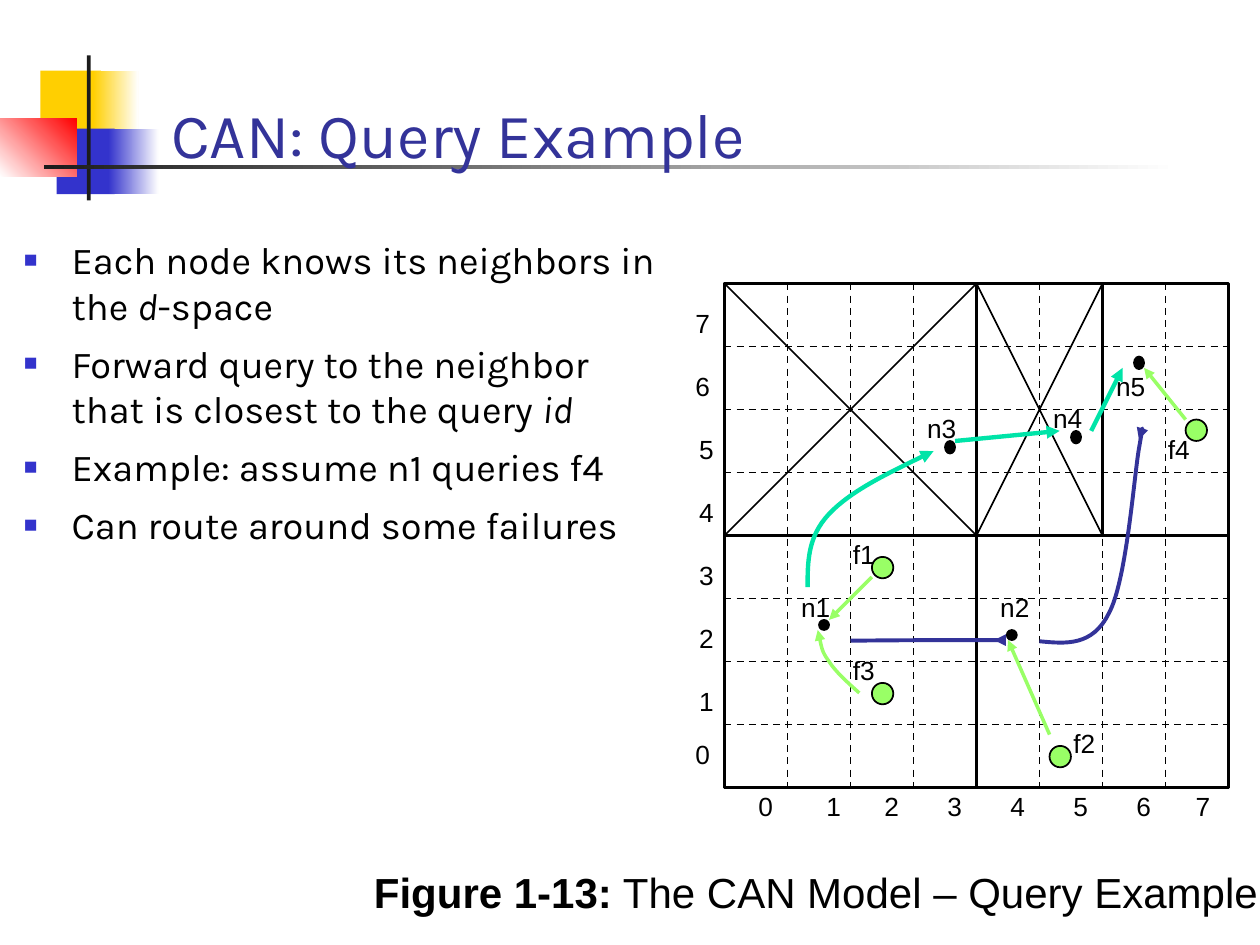
from lxml import etree
from pptx import Presentation, util as u
from pptx.dml.color import RGBColor
from pptx.enum import dml, shapes, text
from pptx.oxml.ns import qn

BLACK = RGBColor(0, 0, 0)
INK = RGBColor(0x1C, 0x1C, 0x1C)
WHITE = RGBColor(255, 255, 255)
GOLD = RGBColor(0xFF, 0xCF, 0x01)
BLUE = RGBColor(0x33, 0x33, 0xCC)
RED = RGBColor(255, 0, 0)
NAVY = RGBColor(0x33, 0x33, 0x99)
LIME = RGBColor(0x99, 0xFF, 0x66)
TEAL = RGBColor(0x00, 0xE4, 0xA8)
RECT, OVAL = shapes.MSO_SHAPE.RECTANGLE, shapes.MSO_SHAPE.OVAL


def sub(node, tag, **vals):
    return etree.SubElement(node, qn(tag), **vals)


def put(item, vals):
    for key, val in vals.items():
        setattr(item, key, val)


def spot(box, col, row, cols, rows):
    left, top, wide, high = box
    return round(left + wide * col / cols), round(top + high * row / rows)


def area(box, part, cols, rows):
    col, row, wide, high = part
    return (*spot(box, col, row, cols, rows),
            round(box[2] * wide / cols), round(box[3] * high / rows))


def ink(line, color, width, arrow=False):
    put(line, {"width": u.Pt(width)})
    line.color.rgb = color
    if arrow:
        sub(line._get_or_add_ln(), "a:tailEnd", type="triangle")


def form(page, kind, box, fill=None, edge=None):
    item = page.shapes.add_shape(kind, *box)
    item.shadow.inherit = False
    if fill is None:
        item.fill.background()
    else:
        item.fill.solid()
        item.fill.fore_color.rgb = fill
    if edge:
        ink(item.line, BLACK, edge)
    else:
        item.line.fill.background()
    return item


def fade(item, first, last, angle):
    item.fill.gradient()
    put(item.fill, {"gradient_angle": angle})
    for stop, color, pos in zip(item.fill.gradient_stops, (first, last), (0, 1)):
        stop.color.rgb = color
        stop.position = pos


def join(page, start, end, color, width, arrow=False):
    item = page.shapes.add_connector(shapes.MSO_CONNECTOR.STRAIGHT, *start, *end)
    ink(item.line, color, width, arrow)
    sub(item._element.spPr, "a:effectLst")
    return item


def curve(page, knots, color, width):
    pen = page.shapes.build_freeform(*knots[0])
    pen.add_line_segments(knots[1:], close=False)
    item = pen.convert_to_shape()
    legs = list(item._element.iter(qn("a:lnTo")))
    for i in range(0, len(legs), 3):
        bend = sub(legs[i].getparent(), "a:cubicBezTo")
        for leg in legs[i:i + 3]:
            bend.append(leg[0])
            leg.getparent().remove(leg)
    item.shadow.inherit = False
    item.fill.background()
    ink(item.line, color, width, True)


def say(par, words, size, face, color=BLACK, **look):
    run = par.add_run()
    run.text = words
    put(run.font, {"size": u.Pt(size), "name": face, **look})
    run.font.color.rgb = color


def tag(page, box, words):
    frame = page.shapes.add_textbox(*box).text_frame
    put(frame, {"word_wrap": False, "auto_size": text.MSO_AUTO_SIZE.SHAPE_TO_FIT_TEXT})
    say(frame.paragraphs[0], words, 15, "Arial")


def crest(page, box):
    parts = (
        ((.32, .56, .48, .52), GOLD, None, 0),
        ((.74, .56, .36, .52), GOLD, WHITE, 0),
        ((.45, 1.02, .46, .52), BLUE, None, 0),
        ((.86, 1.02, .4, .52), BLUE, WHITE, 0),
        ((0, .94, .61, .46), WHITE, RED, 45),
        ((.69, .44, .03, 1.15), INK, None, 0),
        ((.35, 1.31, 9, .03), INK, WHITE, 0),
    )
    for part, first, last, angle in parts:
        item = form(page, RECT, area(box, part, 10, 7.5), first)
        if last is not None:
            fade(item, first, last, angle)


def head(page, box):
    title = page.shapes.title
    put(title, dict(zip(("left", "top", "width", "height"), box)))
    put(title.text_frame, {"vertical_anchor": text.MSO_ANCHOR.BOTTOM,
                           "auto_size": text.MSO_AUTO_SIZE.NONE, "word_wrap": True})
    par = title.text_frame.paragraphs[0]
    par.alignment = text.PP_ALIGN.LEFT
    say(par, "CAN: Query Example", 36, "Karla", NAVY)
    title.element.getparent().append(title.element)


def notes(page, box):
    items = (
        (("Each node knows its neighbors in the ", False), ("d", True), ("-space", False)),
        (("Forward query to the neighbor that is closest to the query ", False), ("id", True)),
        (("Example: assume n1 queries f4", False),),
        (("Can route around some failures", False),),
    )
    frame = page.shapes.add_textbox(*box).text_frame
    frame.word_wrap = True
    inset = str(u.Inches(.38))
    for i, runs in enumerate(items):
        par = frame.add_paragraph() if i else frame.paragraphs[0]
        props = par._p.get_or_add_pPr()
        props.set("marL", inset)
        props.set("indent", "-" + inset)
        sub(sub(props, "a:buClr"), "a:srgbClr", val=str(BLUE))
        sub(props, "a:buSzPct", val="60000")
        sub(props, "a:buFont", typeface="Arial")
        sub(props, "a:buChar", char="■")
        if i:
            par.space_before = u.Pt(7)
        for words, slant in runs:
            say(par, words, 21.7, "Karla", italic=slant)


def grid(page, box):
    def at(col, row):
        return spot(box, col, row, 8, 8)

    def cell(*part):
        return area(box, part, 8, 8)

    frame = form(page, RECT, box, None, 2)
    for n in range(1, 8):
        for ends, sides in ((((n, 0), (n, 8)), (0, 2)), (((0, n), (8, n)), (1, 3))):
            rule = join(page, at(*ends[0]), at(*ends[1]), BLACK, 1)
            rule.line.dash_style = dml.MSO_LINE.DASH
            if n == 4:
                rule.begin_connect(frame, sides[0])
                rule.end_connect(frame, sides[1])

    for zone in ((0, 4, 4, 4), (4, 4, 4, 4), (0, 0, 4, 4), (4, 0, 2, 4)):
        form(page, RECT, cell(*zone), None, 2)
    for left, right in ((0, 4), (4, 6)):
        join(page, at(left, 0), at(right, 4), BLACK, 1)
        join(page, at(left, 4), at(right, 0), BLACK, 1)

    for n in range(8):
        col = {1: 1.42, 7: 7.28}.get(n, n + .34)
        row = 7.12 if n == 0 else 7.28 - n
        side = -.66 if n in (0, 6, 7) else -.6
        tag(page, cell(col, 7.94, .62, .7), str(n))
        tag(page, cell(side, row, .62, .7), str(n))

    nodes = (
        ("n1", (1.5, 5.34, .16, .16), (1.02, 4.78)),
        ("n2", (4.48, 5.5, .16, .16), (4.18, 4.78)),
        ("n3", (3.5, 2.5, .16, .2), (3.02, 1.94)),
        ("n4", (5.5, 2.34, .16, .2), (5.02, 1.78)),
        ("n5", (6.5, 1.16, .16, .2), (6.02, 1.28)),
    )
    files = (
        ("f1", (2.34, 4.34, .34, .34), (1.84, 3.94)),
        ("f2", (5.16, 7.34, .34, .34), (5.34, 6.94)),
        ("f3", (2.34, 6.34, .34, .34), (1.84, 5.78)),
        ("f4", (7.32, 2.16, .34, .34), (6.84, 2.28)),
    )
    for group, fill, wide in ((nodes, BLACK, .88), (files, LIME, .78)):
        for name, dot, place in group:
            form(page, OVAL, cell(*dot), fill, 1)
            tag(page, cell(*place, wide, .7), name)

    hops = (
        ((5.16, 7.16), (4.5, 5.66), LIME, 2),
        ((7.32, 2.16), (6.66, 1.34), LIME, 2),
        ((3.66, 2.5), (5.32, 2.34), TEAL, 2.5),
        ((5.82, 2.34), (6.32, 1.34), TEAL, 2.5),
    )
    for start, end, color, width in hops:
        join(page, at(*start), at(*end), color, width, True)
    bends = (
        (((2.14, 6.5), (1.96, 6.34), (1.76, 6.16), (1.66, 6),
          (1.54, 5.84), (1.52, 5.66), (1.48, 5.5)), LIME, 2),
        (((2.34, 4.66), (2.34, 4.66), (2, 5), (1.66, 5.34)), LIME, 2),
        (((1.32, 4.82), (1.32, 4.42), (1.32, 4.02), (1.66, 3.66),
          (2, 3.3), (2.66, 2.98), (3.32, 2.66)), TEAL, 2.5),
        (((2, 5.67), (2.86, 5.66), (3.74, 5.66), (4.12, 5.66),
          (4.5, 5.66), (4.38, 5.66), (4.28, 5.66)), NAVY, 2.25),
        (((5, 5.68), (5.42, 5.72), (5.84, 5.76), (6.1, 5.24), (6.38, 4.74),
          (6.5, 3.08), (6.58, 2.62), (6.66, 2.16), (6.62, 2.32), (6.58, 2.48)), NAVY, 2.25),
    )
    for knots, color, width in bends:
        curve(page, [at(*knot) for knot in knots], color, width)


def legend(page, box):
    frame = page.shapes.add_textbox(*box).text_frame
    frame.word_wrap = True
    par = frame.paragraphs[0]
    say(par, "Figure 1-13:", 24, "Arial", bold=True)
    say(par, " The CAN Model – Query Example", 24, "Arial", bold=False)


def main():
    deck = Presentation()
    put(deck, {"slide_width": u.Inches(10), "slide_height": u.Inches(7.5)})
    page = deck.slides.add_slide(deck.slide_layouts[5])
    full = (0, 0, deck.slide_width, deck.slide_height)
    for draw, part in ((crest, (0, 0, 10, 7.5)), (head, (1.26, .49, 8.52, .92)),
                       (notes, (.09, 1.83, 5.25, 3.58)), (grid, (5.75, 2.25, 4, 4)),
                       (legend, (2.87, 6.83, 7.76, .69))):
        draw(page, area(full, part, 10, 7.5))
    deck.save("out.pptx")


if __name__ == "__main__":
    main()
